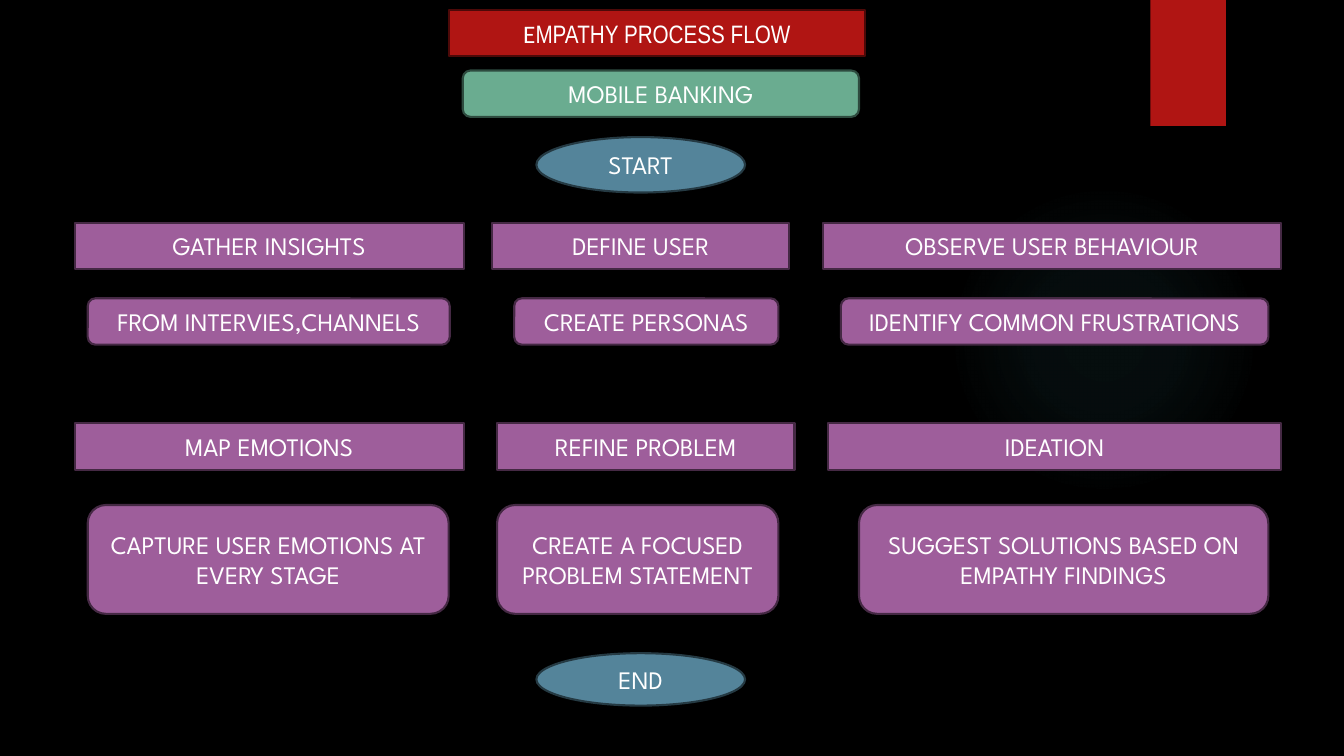
from pptx import Presentation
from pptx.dml.color import RGBColor
from pptx.enum.shapes import MSO_SHAPE as Kind
from pptx.enum.text import MSO_ANCHOR as Anchor, MSO_AUTO_SIZE as Fit, PP_ALIGN as Align
from pptx.oxml import parse_xml
from pptx.oxml.ns import nsdecls, qn
from pptx.util import Inches, Pt

RED, GREEN, BLUE, PLUM = "B01513", "6AAC90", "54849A", "9E5E9B"
EDGES = {RED: "4D0908", GREEN: "2E4B3F", BLUE: "253A43", PLUM: "452944"}
FONT = "League Spartan"


def paint(part, color):
    part.solid()
    part.fore_color.rgb = RGBColor.from_string(color)


def label(shape, text, color):
    """Fill and outline a shape and centre white text in it."""
    paint(shape.fill, color)
    paint(shape.line.fill, EDGES[color])
    shape.line.width = Pt(1.5)
    frame = shape.text_frame
    frame.text = text
    frame.word_wrap = True
    frame.auto_size = Fit.NONE
    frame.vertical_anchor = Anchor.MIDDLE
    para = frame.paragraphs[0]
    para.alignment = Align.CENTER
    for run in para.runs:
        run.font.size = Pt(18)
        run.font.name = FONT
        paint(run.font.fill, "FFFFFF")


deck = Presentation()
deck.slide_width, deck.slide_height = Inches(13.33), Inches(7.5)
slide = deck.slides.add_slide(deck.slide_layouts[5])
paint(slide.background.fill, "000000")
shapes = slide.shapes

# Backdrop: soft glow and red tab
glow = shapes.add_shape(Kind.OVAL, Inches(9.41), Inches(1.83), Inches(3.08), Inches(3.08))
glow.shadow.inherit = False
glow.line.fill.background()
glow.fill.background()
stops = "".join(
    f'<a:gs pos="{pos * 1000}"><a:srgbClr val="50B9C1">'
    f'<a:alpha val="{alpha * 1000}"/></a:srgbClr></a:gs>'
    for pos, alpha in [(0, 7), (36, 6), (69, 0), (100, 0)])
fade = parse_xml(
    f'<a:gradFill {nsdecls("a")}><a:gsLst>{stops}</a:gsLst><a:path path="circle">'
    '<a:fillToRect l="50000" t="50000" r="50000" b="50000"/></a:path></a:gradFill>')
props = glow._element.spPr
props.replace(props.find(qn("a:noFill")), fade)

tab = shapes.add_shape(Kind.RECTANGLE, Inches(11.41), 0, Inches(0.75), Inches(1.25))
tab.shadow.inherit = False
tab.line.fill.background()
paint(tab.fill, RED)

# Title, with its first letter in another font
title = shapes.title
title.left, title.top = Inches(4.45), Inches(0.1)
title.width, title.height = Inches(4.13), Inches(0.46)
label(title, "E", RED)
first = title.text_frame.paragraphs[0].runs[0]
first.font.name = "Calibri"
rest = title.text_frame.paragraphs[0].add_run()
rest.text = "MPATHY PROCESS FLOW"
rest.font.size = Pt(18)
rest.font.name = "Arial Narrow"
paint(rest.font.fill, "FFFFFF")

# Flow: text, kind, colour, left, top, width, height
steps = [
    ("MOBILE BANKING", Kind.ROUNDED_RECTANGLE, GREEN, 4.59, 0.7, 3.93, 0.46),
    ("START", Kind.OVAL, BLUE, 5.32, 1.36, 2.07, 0.55),
]
# Each row: kind, top, height, then (text, left, width) per column
rows = [
    (Kind.RECTANGLE, 2.21, 0.46, [
        ("GATHER INSIGHTS", 0.74, 3.86),
        ("DEFINE USER", 4.88, 2.95),
        ("OBSERVE USER BEHAVIOUR", 8.16, 4.55)]),
    (Kind.ROUNDED_RECTANGLE, 2.96, 0.46, [
        ("FROM INTERVIES,CHANNELS", 0.87, 3.59),
        ("CREATE PERSONAS", 5.1, 2.62),
        ("IDENTIFY COMMON FRUSTRATIONS", 8.34, 4.24)]),
    (Kind.RECTANGLE, 4.2, 0.46, [
        ("MAP EMOTIONS", 0.74, 3.86),
        ("REFINE PROBLEM", 4.93, 2.95),
        ("IDEATION", 8.21, 4.5)]),
    (Kind.ROUNDED_RECTANGLE, 5.01, 1.08, [
        ("CAPTURE USER EMOTIONS AT EVERY STAGE", 0.87, 3.58),
        ("CREATE A FOCUSED PROBLEM STATEMENT", 4.93, 2.79),
        ("SUGGEST SOLUTIONS BASED ON EMPATHY FINDINGS", 8.52, 4.06)]),
]
for kind, top, height, cells in rows:
    for text, left, width in cells:
        steps.append((text, kind, PLUM, left, top, width, height))
steps.append(("END", Kind.OVAL, BLUE, 5.32, 6.48, 2.07, 0.52))

for text, kind, color, *box in steps:
    shape = shapes.add_shape(kind, *map(Inches, box))
    shape.shadow.inherit = False
    label(shape, text, color)

deck.save("out.pptx")
